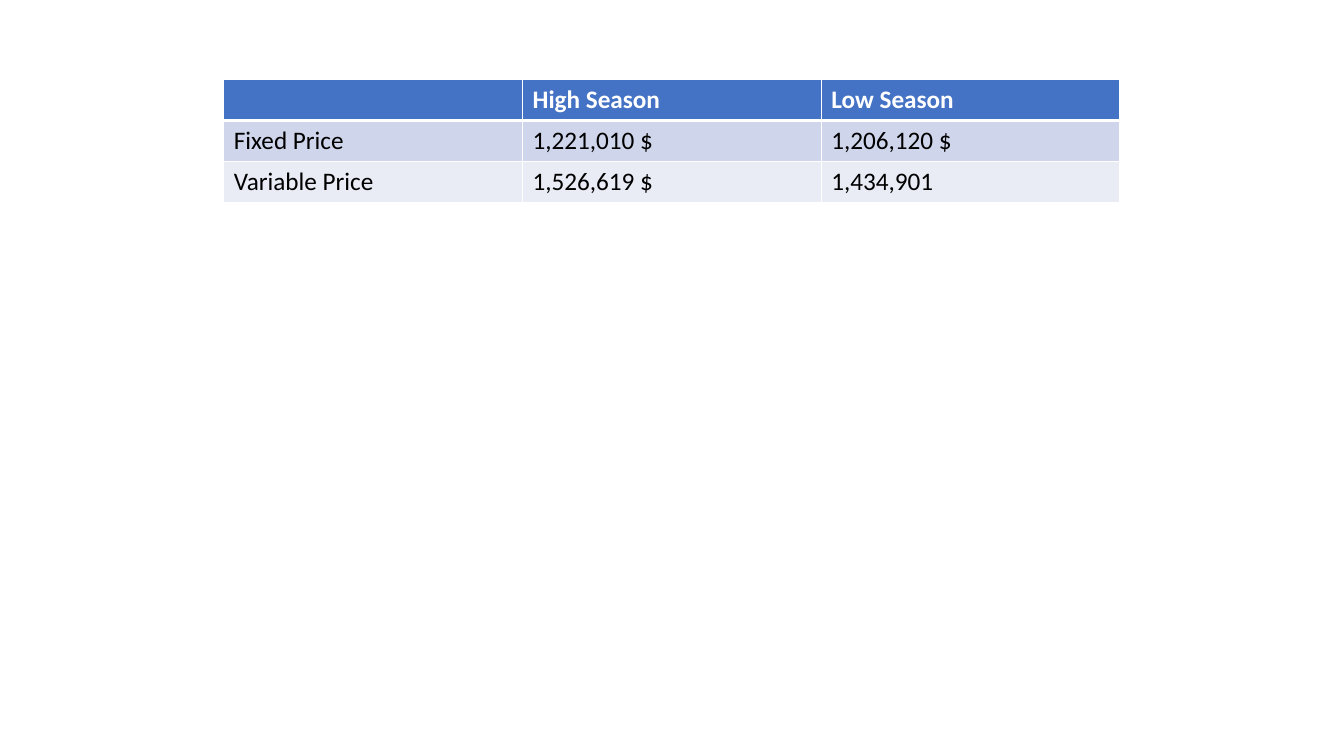
from lxml.etree import SubElement
from pptx import Presentation
from pptx.dml.color import RGBColor
from pptx.oxml.ns import qn
from pptx.util import Inches, Pt

WHITE = RGBColor(0xFF, 0xFF, 0xFF)
BLACK = RGBColor(0x00, 0x00, 0x00)
HEADER_BLUE = RGBColor(0x44, 0x72, 0xC4)
BAND_DARK = RGBColor(0xCF, 0xD5, 0xEA)
BAND_LIGHT = RGBColor(0xE9, 0xEB, 0xF5)

PRICES = [
    ["", "High Season", "Low Season"],
    ["Fixed Price", "1,221,010 $", "1,206,120 $"],
    ["Variable Price", "1,526,619 $", "1,434,901"],
]
ROW_FILLS = [HEADER_BLUE, BAND_DARK, BAND_LIGHT]


def set_borders(cell, top, bottom):
    """Draw white borders; widths in points, 1 pt at the sides."""
    tc_pr = cell._tc.get_or_add_tcPr()
    for side, width in (("L", 1), ("R", 1), ("T", top), ("B", bottom)):
        ln = SubElement(tc_pr, qn(f"a:ln{side}"), w=str(Pt(width)))
        fill = SubElement(ln, qn("a:solidFill"))
        SubElement(fill, qn("a:srgbClr"), val=str(WHITE))


def add_price_table(slide, left, top, width, height):
    n_rows, n_cols = len(PRICES), len(PRICES[0])
    table = slide.shapes.add_table(n_rows, n_cols, left, top, width, height).table

    for i, (values, color) in enumerate(zip(PRICES, ROW_FILLS)):
        is_header = i == 0
        for j, value in enumerate(values):
            cell = table.cell(i, j)
            # The rule under the header is thicker
            set_borders(cell, top=3 if i == 1 else 1, bottom=3 if is_header else 1)
            cell.fill.solid()
            cell.fill.fore_color.rgb = color
            p = cell.text_frame.paragraphs[0]
            p.font.size = Pt(18)
            if value:
                r = p.add_run()
                r.text = value
                r.font.name = "Calibri"
                r.font.size = Pt(18)
                r.font.bold = is_header
                r.font.color.rgb = WHITE if is_header else BLACK


def main():
    prs = Presentation()
    prs.slide_width, prs.slide_height = Inches(13.33), Inches(7.5)
    slide = prs.slides.add_slide(prs.slide_layouts[6])

    # Season price table
    add_price_table(slide, Inches(2.22), Inches(0.79), Inches(8.89), Inches(1.22))

    prs.save("out.pptx")


if __name__ == "__main__":
    main()
